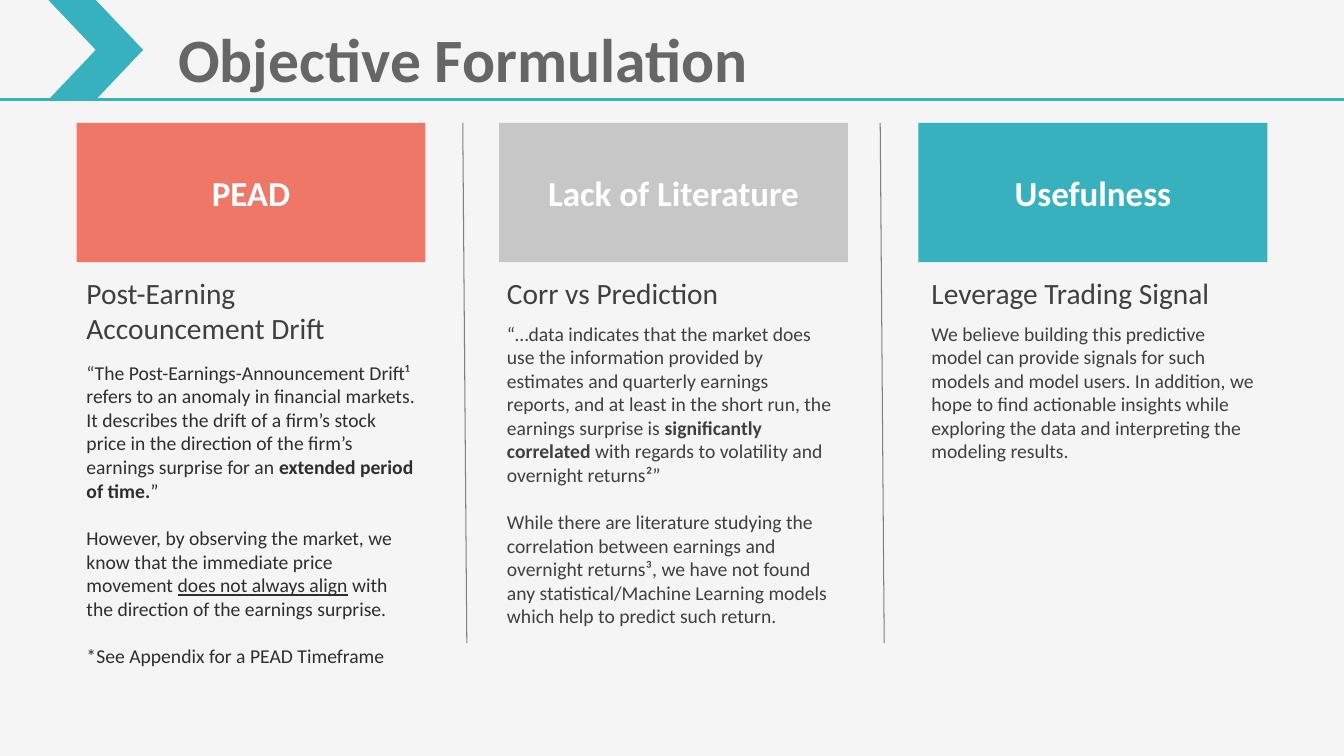
from dataclasses import dataclass

from lxml import etree
from pptx import Presentation
from pptx.dml.color import RGBColor
from pptx.enum import shapes, text
from pptx.oxml import ns
from pptx.util import Inches, Pt


@dataclass(frozen=True)
class Theme:
    font: str = "Calibri"
    background: str = "F5F5F5"
    teal: str = "38B1BF"
    coral: str = "EF7768"
    silver: str = "C7C7C7"
    divider: str = "7F7F7F"
    title: str = "666666"
    body: str = "3F3F3F"
    dark: str = "2E2E2E"
    white: str = "FFFFFF"
    title_size: float = 44
    banner_size: float = 25
    heading_size: float = 21
    body_size: float = 14
    paragraph_gap: float = 17.1


THEME = Theme()
BANNER_TOP, BANNER_WIDTH, BANNER_HEIGHT = 1.22, 3.46, 1.38
HEADING_TOP, HEADING_HEIGHT = 2.68, 0.45

COLUMNS = [
    {
        "banner": ("PEAD", THEME.coral, 0.76),
        "heading": "Post-Earning Accouncement Drift",
        "text_left": 0.76,
        "body_top": 3.53,
        "color": THEME.dark,
        "paragraphs": [
            [
                ("“", {"color": THEME.body}),
                ("The Post-Earnings-Announcement Drift¹ refers to an anomaly in financial "
                 "markets. It describes the drift of a firm’s stock price in the direction "
                 "of the firm’s earnings surprise for an ", {}),
                ("extended period of time.", {"bold": True}),
                ("”", {}),
            ],
            [
                ("However, by observing the market, we know that the immediate price "
                 "movement ", {}),
                ("does not always align", {"underline": True}),
                (" with the direction of the earnings surprise.", {}),
            ],
            [("*See Appendix for a PEAD Timeframe", {})],
        ],
    },
    {
        "banner": ("Lack of Literature", THEME.silver, 4.95),
        "heading": "Corr vs Prediction",
        "text_left": 4.93,
        "body_top": 3.14,
        "color": THEME.body,
        "paragraphs": [
            [
                ("“…data indicates that the market does use the information provided by "
                 "estimates and quarterly earnings reports, and at least in the short run, "
                 "the earnings surprise is ", {}),
                ("significantly correlated", {"bold": True}),
                (" with regards to volatility and overnight returns", {}),
                ("²", {"color": THEME.dark}),
                ("”", {}),
            ],
            [
                ("While there are literature studying the correlation between earnings and "
                 "overnight returns³, we have not found any statistical/Machine Learning "
                 "models which help to predict such return.", {}),
            ],
        ],
    },
    {
        "banner": ("Usefulness", THEME.teal, 9.11),
        "heading": "Leverage Trading Signal",
        "text_left": 9.14,
        "body_top": 3.14,
        "color": THEME.body,
        "paragraphs": [
            [
                ("We believe building this predictive model can provide signals for such "
                 "models and model users. In addition, we hope to find actionable insights "
                 "while exploring the data and interpreting the modeling results.", {}),
            ],
        ],
    },
]


def write_text(shape, content, size, color, bold=False, align=text.PP_ALIGN.LEFT,
               anchor=text.MSO_ANCHOR.TOP, inset=0.05):
    frame = shape.text_frame
    frame.word_wrap = True
    frame.vertical_anchor = anchor
    frame.margin_left = frame.margin_right = Inches(0.1)
    frame.margin_top = frame.margin_bottom = Inches(inset)
    paragraphs = [[(content, {})]] if isinstance(content, str) else content
    for index, runs in enumerate(paragraphs):
        paragraph = frame.add_paragraph() if index else frame.paragraphs[0]
        paragraph.alignment = align
        if index:
            paragraph.space_before = Pt(THEME.paragraph_gap)
        for words, style in runs:
            run = paragraph.add_run()
            run.text = words
            run.font.name = THEME.font
            run.font.size = Pt(size)
            run.font.bold = style.get("bold", bold)
            run.font.underline = style.get("underline", False)
            run.font.color.rgb = RGBColor.from_string(style.get("color", color))


def add_text(slide, box, content, **style):
    write_text(slide.shapes.add_textbox(*map(Inches, box)), content, **style)


def add_filled_shape(slide, kind, box, color):
    shape = slide.shapes.add_shape(kind, *map(Inches, box))
    shape.shadow.inherit = False
    shape.fill.solid()
    shape.fill.fore_color.rgb = RGBColor.from_string(color)
    shape.line.fill.background()
    return shape


def add_line(slide, start, end, color, width):
    line = slide.shapes.add_connector(
        shapes.MSO_CONNECTOR.STRAIGHT, *map(Inches, (*start, *end)))
    line.line.color.rgb = RGBColor.from_string(color)
    line.line.width = Pt(width)
    etree.SubElement(line._element.spPr, ns.qn("a:effectLst"))


def add_header(slide, box):
    left, top, width, height = box
    bottom = top + height
    add_line(slide, (left, bottom), (left + width, bottom), THEME.teal, 2.25)
    add_filled_shape(slide, shapes.MSO_SHAPE.CHEVRON,
                     (left + 0.48, top, 0.94, height), THEME.teal)
    add_text(slide, (left + 1.67, top + 0.11, 7.49, 0.94), "Objective Formulation",
             size=THEME.title_size, color=THEME.title, bold=True, inset=0.1)


def add_divider(slide, left, top, height):
    add_line(slide, (left, top), (left + 0.04, top + height), THEME.divider, 0.75)


def add_column(slide, column):
    label, fill, left = column["banner"]
    banner = add_filled_shape(slide, shapes.MSO_SHAPE.RECTANGLE,
                              (left, BANNER_TOP, BANNER_WIDTH, BANNER_HEIGHT), fill)
    write_text(banner, label, size=THEME.banner_size, color=THEME.white, bold=True,
               align=text.PP_ALIGN.CENTER, anchor=text.MSO_ANCHOR.MIDDLE)
    left, top = column["text_left"], column["body_top"]
    add_text(slide, (left, HEADING_TOP, BANNER_WIDTH, HEADING_HEIGHT), column["heading"],
             size=THEME.heading_size, color=THEME.body)
    add_text(slide, (left, top, BANNER_WIDTH, 1.81), column["paragraphs"],
             size=THEME.body_size, color=column["color"])


def main():
    presentation = Presentation()
    presentation.slide_width = Inches(13.33)
    presentation.slide_height = Inches(7.5)
    slide = presentation.slides.add_slide(presentation.slide_layouts[6])
    slide.background.fill.solid()
    slide.background.fill.fore_color.rgb = RGBColor.from_string(THEME.background)
    add_header(slide, (0, 0, 13.33, 0.99))
    for left in (4.59, 8.73):
        add_divider(slide, left, BANNER_TOP, 5.16)
    for column in COLUMNS:
        add_column(slide, column)
    presentation.save("out.pptx")


if __name__ == "__main__":
    main()
